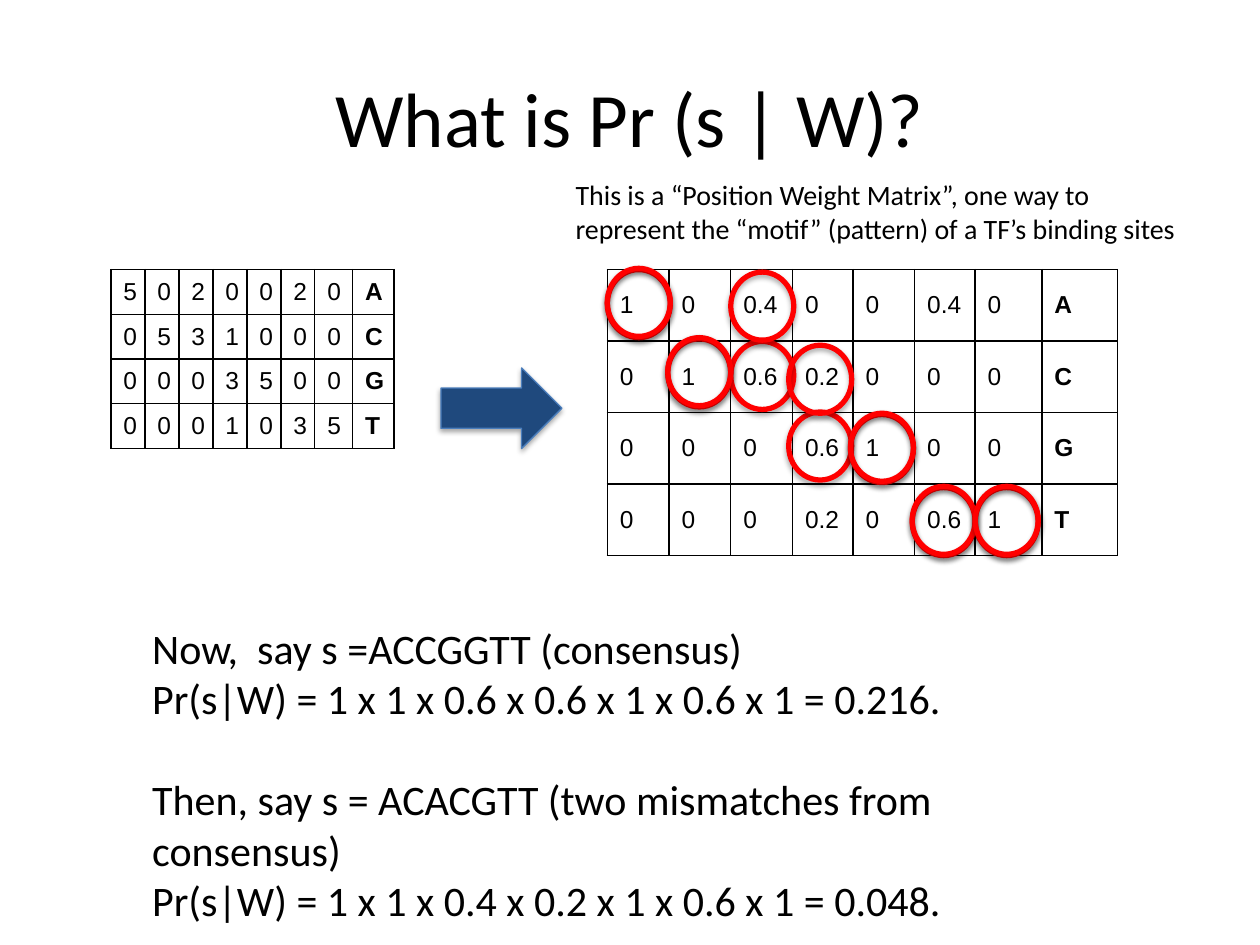
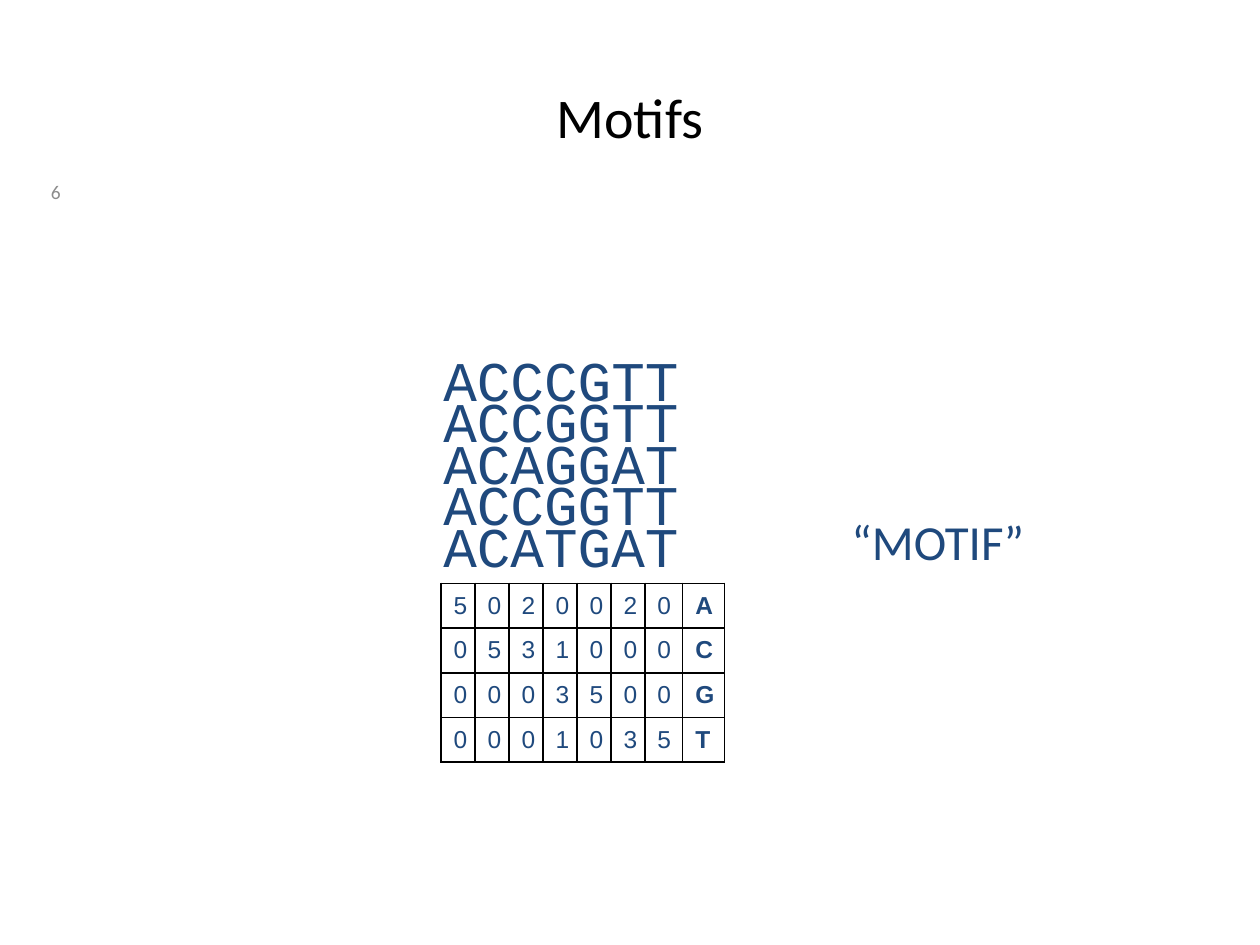
"""Build two slides on motifs and position weight matrices."""
from dataclasses import dataclass

from lxml import etree
from pptx import Presentation
from pptx.dml.color import RGBColor
from pptx.enum.shapes import MSO_SHAPE
from pptx.enum.text import MSO_ANCHOR, PP_ALIGN
from pptx.oxml.ns import qn
from pptx.shapes.autoshape import Shape
from pptx.slide import Slide
from pptx.table import _Cell
from pptx.text.text import TextFrame
from pptx.util import Inches, Pt

ELLIPSE, RIGHT_ARROW = MSO_SHAPE.OVAL, MSO_SHAPE.RIGHT_ARROW
MIDDLE, TOP = MSO_ANCHOR.MIDDLE, MSO_ANCHOR.TOP
LEFT, CENTER, RIGHT = PP_ALIGN.LEFT, PP_ALIGN.CENTER, PP_ALIGN.RIGHT

BLACK, NAVY, BLUE, RED, GRAY = "000000", "1F497D", "4B7EBC", "FF0000", "8C8C8C"
BASES = "ACGT"
COUNTS = ["5020020", "0531000", "0003500", "0001035"]
WEIGHTS = [
    ["1", "0", "0.4", "0", "0", "0.4", "0"],
    ["0", "1", "0.6", "0.2", "0", "0", "0"],
    ["0", "0", "0", "0.6", "1", "0", "0"],
    ["0", "0", "0", "0.2", "0", "0.6", "1"],
]
COUNT_COLS = [0.27] * 6 + [0.3, 0.33]
WEIGHT_COLS = [0.49, 0.49, 0.49, 0.48, 0.49, 0.48, 0.53, 0.6]
CIRCLE_LEFTS = [4.82, 5.3, 5.8, 6.26, 6.75, 7.24, 7.74]
CONSENSUS_TOPS = [2.14, 2.69, 2.71, 3.27, 3.29, 3.87, 3.87]
MISMATCH_TOPS = [2.13, 2.68, 2.16, 2.74, 3.28, 3.86, 3.86]
SITES = ["ACCCGTT", "ACCGGTT", "ACAGGAT", "ACCGGTT", "ACATGAT"]
SITE_TOP, SITE_STEP = 2.69, 0.33


@dataclass
class Font:
    """Describe the look of a run."""
    size: float
    color: str = BLACK
    name: str = "Calibri"
    bold: bool = False


@dataclass
class Label:
    """Describe a text box and its place in inches."""
    lines: list[str]
    box: tuple[float, float, float, float]
    font: Font
    wrap: bool = True
    align: PP_ALIGN = LEFT
    anchor: MSO_ANCHOR = TOP


@dataclass
class Matrix:
    """Describe a table of values with one row per base."""
    values: list
    cols: list[float]
    left: float
    top: float
    height: float
    color: str = BLACK


def rgb(color: str) -> RGBColor:
    """Turn a hex string into a colour."""
    return RGBColor.from_string(color)


def style_text(tf: TextFrame, font: Font, align: PP_ALIGN = LEFT) -> None:
    """Format every paragraph and run of a text frame."""
    for p in tf.paragraphs:
        p.alignment = align
        for r in p.runs:
            r.font.size, r.font.name, r.font.bold = Pt(font.size), font.name, font.bold
            r.font.color.rgb = rgb(font.color)


def add_titled_slide(prs: Presentation, title: str, size: float) -> Slide:
    """Add a slide with a formatted title."""
    s = prs.slides.add_slide(prs.slide_layouts[5])
    sp = s.shapes.title
    sp.left, sp.top, sp.width, sp.height = map(Inches, (0.5, 0.3, 9, 1.25))
    sp.text_frame.text = title
    sp.text_frame.vertical_anchor = MIDDLE
    style_text(sp.text_frame, Font(size), CENTER)
    return s


def add_label(s: Slide, label: Label) -> TextFrame:
    """Add a text box with one paragraph per line."""
    tf = s.shapes.add_textbox(*map(Inches, label.box)).text_frame
    tf.word_wrap, tf.vertical_anchor = label.wrap, label.anchor
    tf.text = "\n".join(label.lines)
    style_text(tf, label.font, label.align)
    return tf


def add_borders(cell: _Cell) -> None:
    """Draw a thin black line on all sides of a cell."""
    tc_pr = cell._tc.get_or_add_tcPr()
    for side in ("lnL", "lnR", "lnT", "lnB"):
        ln = etree.SubElement(tc_pr, qn(f"a:{side}"), w=str(Pt(1)))
        fill = etree.SubElement(ln, qn("a:solidFill"))
        etree.SubElement(fill, qn("a:srgbClr"), val=BLACK)


def add_matrix(s: Slide, m: Matrix) -> None:
    """Add a table with the base letter at the end of each row."""
    box = map(Inches, (m.left, m.top, sum(m.cols), m.height))
    table = s.shapes.add_table(len(BASES), len(m.cols), *box).table
    table.first_row = table.horz_banding = False
    for col, width in zip(table.columns, m.cols):
        col.width = Inches(width)
    for i, (values, base) in enumerate(zip(m.values, BASES)):
        for j, value in enumerate([*values, base]):
            cell = table.cell(i, j)
            cell.text_frame.text = value
            cell.vertical_anchor = MIDDLE
            style_text(cell.text_frame, Font(14, m.color, "Arial", j == len(values)))
            add_borders(cell)
            cell.fill.background()


def style_outline(sp: Shape, color: str, width: float) -> None:
    """Set the line of a shape and give it a soft shadow below."""
    sp.line.color.rgb, sp.line.width = rgb(color), Pt(width)
    sp.shadow.inherit = False
    effects = sp._element.spPr.find(qn("a:effectLst"))
    shadow = etree.SubElement(effects, qn("a:outerShdw"), blurRad=str(Pt(3.1)),
                              dist=str(Pt(1.8)), dir="5400000", rotWithShape="0")
    tint = etree.SubElement(shadow, qn("a:srgbClr"), val=BLACK)
    etree.SubElement(tint, qn("a:alpha"), val="35000")


def add_circles(s: Slide, tops: list[float]) -> None:
    """Add a group of red rings, one per site position."""
    group = s.shapes.add_group_shape()
    for left, top in zip(CIRCLE_LEFTS, tops):
        sp = group.shapes.add_shape(ELLIPSE, *map(Inches, (left, top, 0.5, 0.54)))
        sp.fill.background()
        style_outline(sp, RED, 3)


def build_probability(prs: Presentation) -> None:
    """Build the slide on the probability of a site."""
    s = add_titled_slide(prs, "What is Pr (s | W)?", 44)
    add_matrix(s, Matrix(COUNTS, COUNT_COLS, 0.88, 2.14, 1.42))
    add_matrix(s, Matrix(WEIGHTS, WEIGHT_COLS, 4.82, 2.14, 2.27))
    arrow = s.shapes.add_shape(RIGHT_ARROW, *map(Inches, (3.5, 2.92, 0.96, 0.64)))
    arrow.fill.solid()
    arrow.fill.fore_color.rgb = rgb(NAVY)
    style_outline(arrow, BLUE, 0.75)
    tf = add_label(s, Label([
        "Now,  say s =ACCGGTT (consensus)",
        "Pr(s|W) = 1 x 1 x 0.6 x 0.6 x 1 x 0.6 x 1 = 0.216.",
        "Then, say s = ACACGTT (two mismatches from consensus)",
        "Pr(s|W) = 1 x 1 x 0.4 x 0.2 x 1 x 0.6 x 1 = 0.048.",
    ], (1.11, 4.89, 7.76, 2.12), Font(24)))
    tf.paragraphs[2].space_before = Pt(29)
    for tops in (CONSENSUS_TOPS, MISMATCH_TOPS):
        add_circles(s, tops)
    add_label(s, Label(
        ["This is a “Position Weight Matrix”, one way to represent "
         "the “motif” (pattern) of a TF’s binding sites"],
        (4.47, 1.36, 5.05, 0.64), Font(16)))


def build_motifs(prs: Presentation) -> None:
    """Build the slide on aligned sites and their counts."""
    s = add_titled_slide(prs, "Motifs", 32)
    for i, site in enumerate(SITES):
        box = (3.42, SITE_TOP + i * SITE_STEP, 2.33, 0.63)
        tf = add_label(s, Label([site], box, Font(32, NAVY, "Courier New")))
        tf.paragraphs[0].space_before = Pt(6)
    add_matrix(s, Matrix(COUNTS, COUNT_COLS, 3.5, 4.63, 1.42, NAVY))
    add_label(s, Label(["“MOTIF”"], (6.66, 4.01, 1.77, 0.57), Font(28, NAVY), wrap=False))
    add_label(s, Label(["6"], (0, 1.39, 0.58, 0.27), Font(11.1, GRAY),
                       align=RIGHT, anchor=MIDDLE))


def main() -> None:
    """Build and save the presentation."""
    prs = Presentation()
    prs.slide_width, prs.slide_height = Inches(10), Inches(7.5)
    build_probability(prs)
    build_motifs(prs)
    prs.save("out.pptx")


if __name__ == "__main__":
    main()
